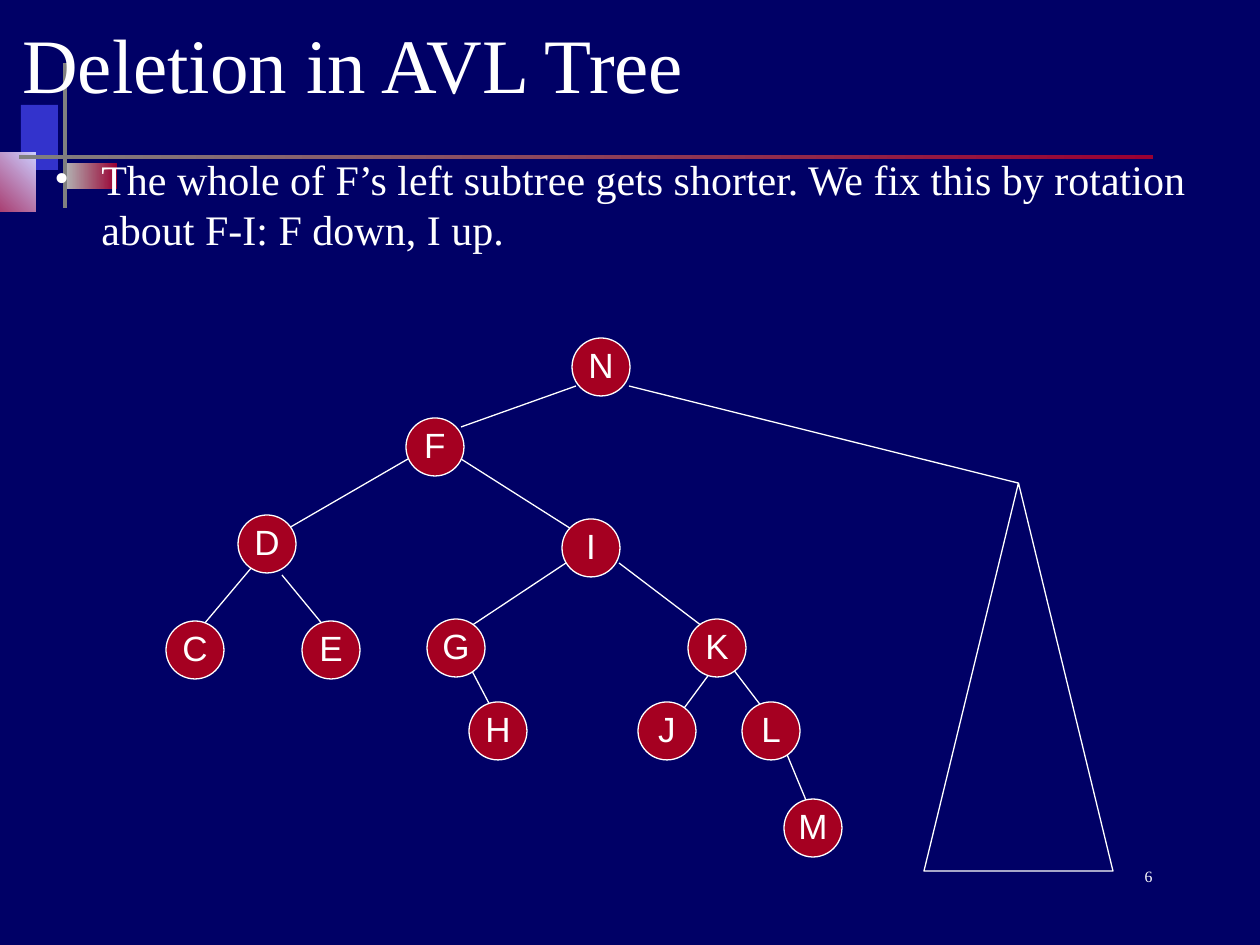
from pptx import Presentation
from pptx.dml.color import RGBColor
from pptx.enum.shapes import MSO_CONNECTOR as Link, MSO_SHAPE as Shape
from pptx.enum.text import MSO_ANCHOR as Anchor, PP_ALIGN as Align
from pptx.oxml.ns import qn
from pptx.util import Pt
from lxml.etree import SubElement

SCALE = 914400 / 126
WHITE, GRAY, WINE, RED = "FFFFFF", "808080", "990033", "A50021"
SERIF, SANS = "Times New Roman", "Arial"
NODE = 58

# Letter: left, top
NODES = {
    "N": (572, 338), "F": (406, 418), "D": (238, 515), "I": (562, 519),
    "C": (166, 621), "E": (302, 621), "G": (427, 619), "K": (688, 619),
    "H": (469, 702), "J": (638, 702), "L": (742, 702), "M": (784, 799),
}

# Start x, y and end x, y
EDGES = [
    (576, 386, 461, 427),   # N-F
    (629, 386, 1018, 483),  # N-right subtree
    (408, 459, 282, 532),   # F-D
    (461, 459, 576, 532),   # F-I
    (252, 567, 199, 630),   # D-C
    (282, 575, 324, 626),   # D-E
    (566, 563, 471, 626),   # I-G
    (619, 563, 702, 626),   # I-K
    (471, 669, 493, 711),   # G-H
    (713, 669, 682, 711),   # K-J
    (733, 669, 765, 711),   # K-L
    (786, 752, 808, 805),   # L-M
]


def px(*vals):
    return [round(v * SCALE) for v in vals]


def color(code):
    return RGBColor.from_string(code)


def outline(line):
    line.color.rgb = color(WHITE)
    line.width = Pt(0.75)


def add_shape(slide, kind, box, fill=None, edge=False):
    shape = slide.shapes.add_shape(kind, *px(*box))
    shape.shadow.inherit = False
    if fill:
        shape.fill.solid()
        shape.fill.fore_color.rgb = color(fill)
    else:
        shape.fill.background()
    if edge:
        outline(shape.line)
    else:
        shape.line.fill.background()
    return shape


def add_fade(slide, box, start, end, angle=0):
    fill = add_shape(slide, Shape.RECTANGLE, box).fill
    fill.gradient()
    fill.gradient_angle = angle
    for stop, code, pos in zip(fill.gradient_stops, (start, end), (0, 1)):
        stop.color.rgb = color(code)
        stop.position = pos


def style(para, size, font, align=Align.LEFT):
    para.alignment = align
    for run in para.runs:
        run.font.size = Pt(size)
        run.font.name = font
        run.font.color.rgb = color(WHITE)


def add_text(slide, box, text, size, align=Align.LEFT, anchor=Anchor.TOP):
    frame = slide.shapes.add_textbox(*px(*box)).text_frame
    frame.word_wrap = True
    frame.vertical_anchor = anchor
    frame.text = text
    para = frame.paragraphs[0]
    style(para, size, SERIF, align)
    return para


def add_bullet(para, indent):
    props = para._p.get_or_add_pPr()
    gap = px(indent)[0]
    props.set("marL", str(gap))
    props.set("indent", str(-gap))
    tint = SubElement(props, qn("a:buClr"))
    SubElement(tint, qn("a:srgbClr"), val=WHITE)
    SubElement(props, qn("a:buFont"), typeface=SERIF)
    SubElement(props, qn("a:buChar"), char="•")


def add_edge(slide, ends):
    link = slide.shapes.add_connector(Link.STRAIGHT, *px(*ends))
    outline(link.line)
    SubElement(link._element.spPr, qn("a:effectLst"))


def add_node(slide, name, left, top):
    node = add_shape(slide, Shape.OVAL, (left, top, NODE, NODE), RED, True)
    frame = node.text_frame
    frame.word_wrap = False
    frame.vertical_anchor = Anchor.MIDDLE
    frame.margin_left = frame.margin_right = frame.margin_top = 0
    frame.margin_bottom = px(4)[0]
    frame.text = name
    style(frame.paragraphs[0], 20, SANS, Align.CENTER)


def add_decor(slide):
    add_shape(slide, Shape.RECTANGLE, (21, 105, 37, 65), "3333CC")
    add_fade(slide, (66, 163, 51, 26), "B2B2B2", WINE)
    add_fade(slide, (-42, 153, 78, 59), WINE, "CCCCFF", 45)
    add_shape(slide, Shape.RECTANGLE, (63, 63, 4, 145), GRAY)
    add_fade(slide, (19, 155, 1134, 4), GRAY, WINE)


def main():
    deck = Presentation()
    deck.slide_width, deck.slide_height = px(1260, 945)
    slide = deck.slides.add_slide(deck.slide_layouts[6])
    slide.background.fill.solid()
    slide.background.fill.fore_color.rgb = color("000066")
    add_decor(slide)

    # Title, body and slide number
    add_text(slide, (10, 0, 1134, 126), "Deletion in AVL Tree", 44,
             anchor=Anchor.MIDDLE)
    body = add_text(
        slide, (42, 147, 1197, 147),
        "The whole of F’s left subtree gets shorter. "
        "We fix this by rotation about F-I: F down, I up.", 24)
    add_bullet(body, 47)
    add_text(slide, (903, 861, 262, 63), "6", 9, Align.RIGHT)

    # Tree: edges first, so the nodes cover their ends
    for ends in EDGES:
        add_edge(slide, ends)
    for name, (left, top) in NODES.items():
        add_node(slide, name, left, top)

    # Right subtree
    add_shape(slide, Shape.ISOSCELES_TRIANGLE, (924, 483, 189, 388), edge=True)
    deck.save("out.pptx")


if __name__ == "__main__":
    main()
